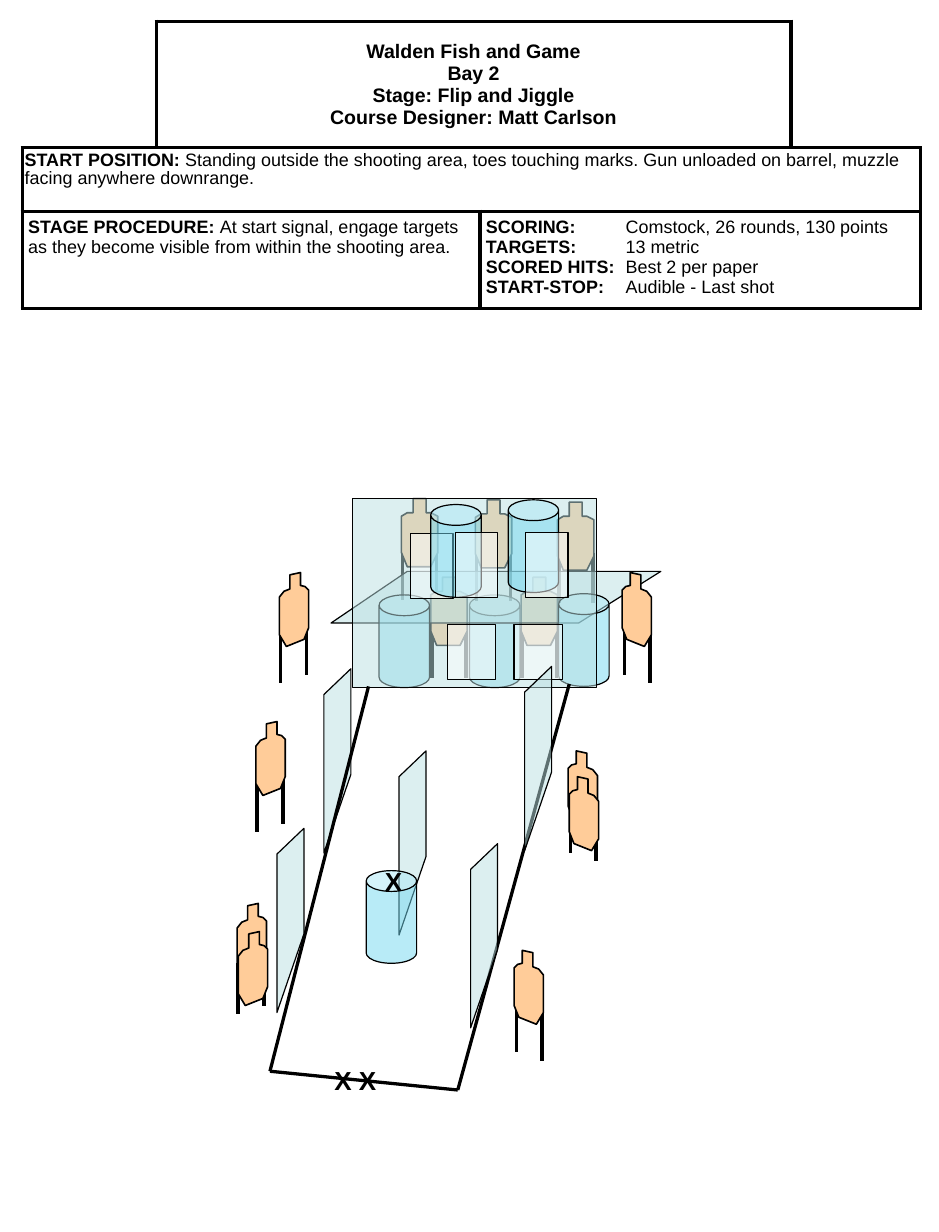
"""Build the one-page stage briefing: rules table above a drawing of the shooting bay."""
from lxml.etree import SubElement
from pptx import Presentation
from pptx.dml.color import RGBColor
from pptx.enum.shapes import MSO_CONNECTOR, MSO_SHAPE
from pptx.enum.text import MSO_ANCHOR, PP_ALIGN
from pptx.oxml import parse_xml
from pptx.oxml.ns import nsdecls, qn
from pptx.util import Pt

PX = 9144
FONT = "Arial"
BLACK = RGBColor(0x00, 0x00, 0x00)
WHITE = RGBColor(0xFF, 0xFF, 0xFF)
TAN = RGBColor(0xFF, 0xCC, 0x99)
WALL = RGBColor(0xBB, 0xE0, 0xE3)
BARREL = RGBColor(0x73, 0xD9, 0xF1)

TITLE = [
    [("Walden Fish and Game", True)],
    [("Bay 2", True)],
    [("Stage: Flip and Jiggle", True)],
    [("Course Designer: Matt Carlson", True)],
]
START = [[
    ("START POSITION:", True),
    (" Standing outside the shooting area, toes touching marks. "
     "Gun unloaded on barrel, muzzle facing anywhere downrange.", False),
]]
PROCEDURE = [[
    ("STAGE PROCEDURE: ", True),
    ("At start signal, engage targets as they become visible "
     "from within the shooting area.", False),
]]
SCORING = [
    [(label, True), ("\t" + value, False)]
    for label, value in (
        ("SCORING:", "Comstock, 26 rounds, 130 points"),
        ("TARGETS:", "13 metric"),
        ("SCORED HITS:", "Best 2 per paper"),
        ("START-STOP:", "Audible - Last shot"),
    )
]

TABLE_LEFT, TABLE_TOP = 19, 18
COLUMNS = (114, 276, 265, 110)
ROWS = (108, 54, 83)
# row, column, last column, paragraphs, side margin, top margin, format
CELLS = [
    (0, 1, 2, TITLE, 5, 5, {"size": 12, "align": PP_ALIGN.CENTER}),
    (1, 0, 3, START, 2, 4, {"line_spacing": 0.9}),
    (2, 0, 1, PROCEDURE, 5, 5, {}),
    (2, 2, 3, SCORING, 5, 5, {"tab": 119}),
]
CORNER_SIDES = {(0, 0): "RB", (0, 3): "LB"}

FRONT_BODY = [(10, 0), (21, 0), (21, 12), (25, 12), (31, 15), (31, 46),
              (25, 58), (5, 58), (0, 46), (0, 15), (5, 12), (10, 12)]
FRONT_LEGS = [(1, 43), (30, 43)]
TURNED_BODY = [(9, 2), (18, 0), (18, 11), (22, 12), (25, 15), (25, 47),
               (21, 57), (6, 63), (0, 53), (0, 21), (4, 16), (9, 14)]
TURNED_LEGS = [(1, 51), (23, 44)]
TURNED_WIDTH, LEG_LENGTH = 25, 43
WALL_OUTLINE = [(23, 90), (0, 157), (0, 22), (23, 0)]
ROOF_OUTLINE = [(281, 0), (65, 0), (0, 44), (211, 44)]
BARREL_SIZE = (43, 79)

SCENE = [
    ("front", 342, 425), ("front", 367, 492), ("front", 405, 426),
    ("barrel", 400, 507), ("front", 475, 428), ("mark", "X X", 275, 902, 58),
    ("front", 444, 492), ("roof", 282, 487), ("wall", 276, 570),
    ("barrel", 323, 507), ("barrel", 476, 506),
    ("pane", 300, 425, 208, 161, WALL), ("pane", 350, 455, 36, 55, WHITE),
    ("pane", 381, 532, 41, 47, WHITE),
    ("barrel", 367, 430), ("barrel", 433, 426),
    ("pane", 438, 532, 41, 47, WHITE), ("pane", 388, 454, 36, 55, WHITE),
    ("pane", 448, 454, 36, 55, WHITE),
    ("edge", 230, 913, 314, 585), ("edge", 390, 929, 485, 583),
    ("left", 238, 488), ("right", 530, 488), ("wall", 447, 568),
    ("right", 484, 640), ("left", 218, 615), ("wall", 340, 640),
    ("wall", 236, 706), ("wall", 401, 719), ("left", 202, 770),
    ("right", 438, 810), ("right body", 485, 662), ("left body", 203, 794),
    ("edge", 230, 913, 390, 929), ("barrel", 312, 742),
    ("mark", "X", 318, 733, 33),
]


def write_text(frame, paragraphs, size=11, align=PP_ALIGN.LEFT, line_spacing=None, tab=None):
    frame.word_wrap = True
    for index, runs in enumerate(paragraphs):
        paragraph = frame.paragraphs[0] if index == 0 else frame.add_paragraph()
        paragraph.alignment = align
        if line_spacing:
            paragraph.line_spacing = line_spacing
        if tab:
            tabs = SubElement(paragraph._p.get_or_add_pPr(), qn("a:tabLst"))
            SubElement(tabs, qn("a:tab"), pos=str(tab * PX), algn="l")
        for text, bold in runs:
            run = paragraph.add_run()
            run.text = text
            run.font.name, run.font.size = FONT, Pt(size)
            run.font.bold = bold
            run.font.color.rgb = BLACK


def style(shape, color, line_width=0.75, opacity=None):
    shape.shadow.inherit = False
    shape.fill.solid()
    shape.fill.fore_color.rgb = color
    if opacity:
        color_element = shape._element.spPr.find(qn("a:solidFill"))[0]
        SubElement(color_element, qn("a:alpha"), val=str(opacity * 1000))
    shape.line.color.rgb = BLACK
    shape.line.width = Pt(line_width)


def add_outline(shapes, points, left, top, color, **look):
    corners = [(left + x, top + y) for x, y in points]
    builder = shapes.build_freeform(*corners[0], scale=PX)
    builder.add_line_segments(corners[1:], close=True)
    style(builder.convert_to_shape(), color, **look)


def add_line(shapes, x1, y1, x2, y2, width):
    line = shapes.add_connector(MSO_CONNECTOR.STRAIGHT, x1 * PX, y1 * PX, x2 * PX, y2 * PX)
    line.line.color.rgb = BLACK
    line.line.width = Pt(width)
    SubElement(line._element.spPr, qn("a:effectLst"))


def add_preset(shapes, preset, left, top, width, height, color):
    shape = shapes.add_shape(preset, left * PX, top * PX, width * PX, height * PX)
    style(shape, color, opacity=50)
    return shape


def add_target(shapes, kind, left, top):
    body, legs = (FRONT_BODY, FRONT_LEGS) if kind == "front" else (TURNED_BODY, TURNED_LEGS)
    if kind.startswith("right"):
        body, legs = ([(TURNED_WIDTH - x, y) for x, y in part] for part in (body, legs))
    if not kind.endswith("body"):
        shapes = shapes.add_group_shape().shapes
        for x, y in legs:
            add_line(shapes, left + x, top + y, left + x, top + y + LEG_LENGTH, 2.25)
    add_outline(shapes, body, left, top, TAN, line_width=1)


def set_borders(cell, sides):
    properties = cell._tc.get_or_add_tcPr()
    for index, side in enumerate("LRTB"):
        paint = f'<a:solidFill><a:srgbClr val="{BLACK}"/></a:solidFill>' if side in sides else "<a:noFill/>"
        properties.insert(index, parse_xml(
            f'<a:ln{side} {nsdecls("a")} w="{Pt(2.25)}">{paint}</a:ln{side}>'))


def add_briefing(shapes):
    table = shapes.add_table(len(ROWS), len(COLUMNS), TABLE_LEFT * PX, TABLE_TOP * PX,
                             sum(COLUMNS) * PX, sum(ROWS) * PX).table
    table.first_row = table.horz_banding = False
    for column, width in zip(table.columns, COLUMNS):
        column.width = width * PX
    for row_index, (row, height) in enumerate(zip(table.rows, ROWS)):
        row.height = height * PX
        for column_index, cell in enumerate(row.cells):
            cell.fill.solid()
            cell.fill.fore_color.rgb = WHITE
            set_borders(cell, CORNER_SIDES.get((row_index, column_index), "LRTB"))
    for row, first, last, paragraphs, side, top, look in CELLS:
        cell = table.cell(row, first)
        cell.merge(table.cell(row, last))
        cell.margin_left = cell.margin_right = side * PX
        cell.margin_top = cell.margin_bottom = top * PX
        cell.vertical_anchor = MSO_ANCHOR.MIDDLE if row == 0 else MSO_ANCHOR.TOP
        write_text(cell.text_frame, paragraphs, **look)


def add_scene(shapes):
    for kind, *place in SCENE:
        if kind == "mark":
            text, left, top, width = place
            box = shapes.add_textbox(left * PX, top * PX, width * PX, 37 * PX)
            write_text(box.text_frame, [[(text, True)]], size=16)
        elif kind == "barrel":
            add_preset(shapes, MSO_SHAPE.CAN, *place, *BARREL_SIZE, BARREL).adjustments[0] = 0.413
        elif kind == "pane":
            add_preset(shapes, MSO_SHAPE.RECTANGLE, *place)
        elif kind == "edge":
            add_line(shapes, *place, 2)
        elif kind in ("wall", "roof"):
            outline = WALL_OUTLINE if kind == "wall" else ROOF_OUTLINE
            add_outline(shapes, outline, *place, WALL, opacity=50)
        else:
            add_target(shapes, kind, *place)


def main():
    presentation = Presentation()
    presentation.slide_width, presentation.slide_height = 800 * PX, 1050 * PX
    slide = presentation.slides.add_slide(presentation.slide_layouts[6])
    add_briefing(slide.shapes)
    add_scene(slide.shapes)
    presentation.save("out.pptx")


if __name__ == "__main__":
    main()
